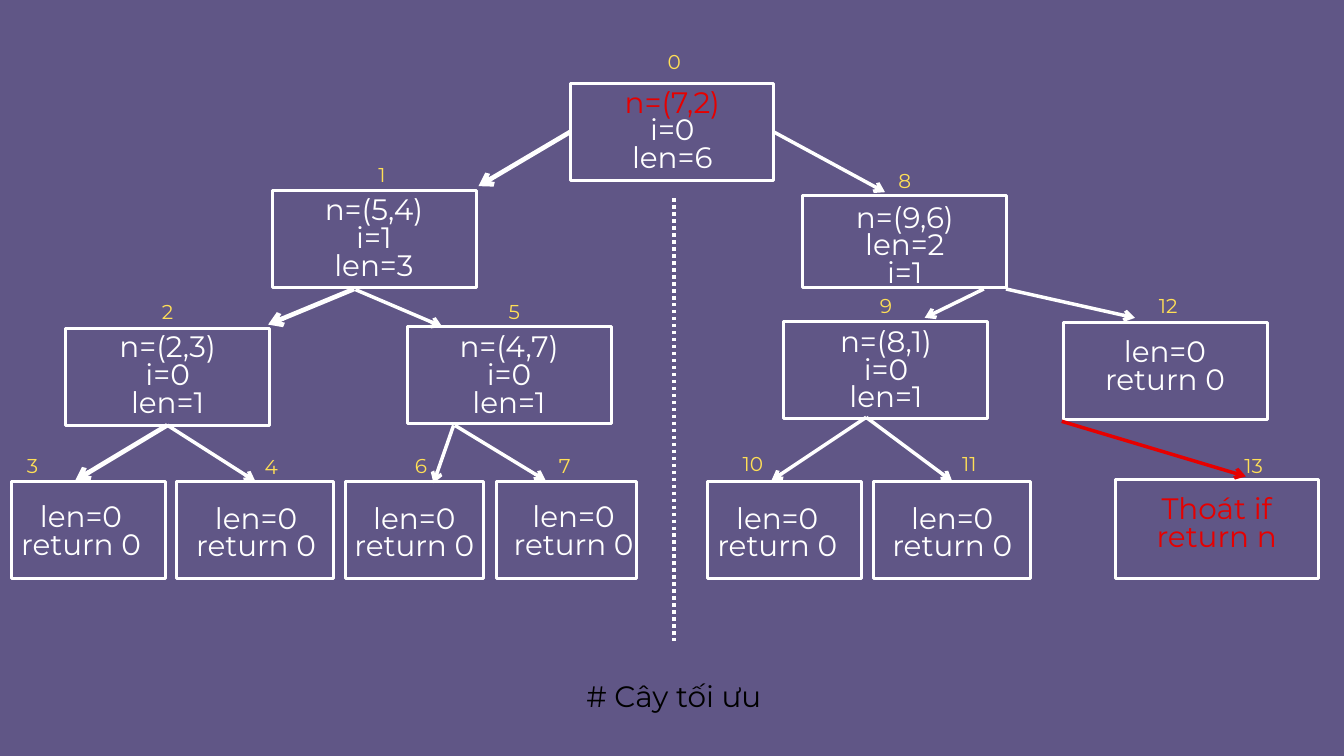
from dataclasses import dataclass
from typing import Optional

from pptx import Presentation
from pptx.dml.color import RGBColor
from pptx.enum.dml import MSO_LINE
from pptx.enum.shapes import MSO_CONNECTOR, MSO_SHAPE
from pptx.enum.text import MSO_ANCHOR, MSO_AUTO_SIZE, PP_ALIGN
from pptx.oxml.ns import qn
from pptx.oxml.xmlchemy import OxmlElement
from pptx.shapes.autoshape import Shape
from pptx.shapes.connector import Connector
from pptx.slide import Slide
from pptx.util import Inches, Pt

PURPLE = RGBColor(0x60, 0x56, 0x86)
WHITE = RGBColor(0xFF, 0xFF, 0xFF)
RED = RGBColor(0xE6, 0x00, 0x00)
YELLOW = RGBColor(0xFF, 0xDF, 0x56)
BLACK = RGBColor(0x00, 0x00, 0x00)
FONT = "Montserrat"
BORDER = 0.045
LINE_STEP = 0.41
BOTTOM, LEFT, RIGHT, TOP = 2, 1, 3, 0
LEAF = ("len=0", "return 0")


@dataclass(frozen=True)
class Node:
    left: float
    top: float
    lines: tuple[str, ...]
    text_left: float
    text_top: float
    label_left: float
    label_top: float
    width: float = 3.08
    height: float = 1.49
    text_width: float = 2.63
    red_lines: int = 0


@dataclass(frozen=True)
class Arrow:
    parent: int
    child: int
    start: tuple[float, float]
    end: tuple[float, float]
    color: RGBColor = WHITE
    weight: float = 3.75
    start_side: Optional[int] = None
    end_side: Optional[int] = None


NODES = [
    Node(8.46, 1.22, ("n=(7,2)", "i=0", "len=6"), 8.69, 1.36, 9.55, 0.81, red_lines=1),
    Node(4.03, 2.81, ("n=(5,4)", "i=1", "len=3"), 4.25, 2.96, 5.2, 2.5),
    Node(0.95, 4.86, ("n=(2,3)", "i=0", "len=1"), 1.18, 5, 2.01, 4.53),
    Node(0.15, 7.14, LEAF, 0.15, 7.53, 0, 6.82, width=2.34, text_width=2.11),
    Node(2.61, 7.14, LEAF, 2.76, 7.55, 3.55, 6.84, width=2.38, text_width=2.1),
    Node(6.04, 4.84, ("n=(4,7)", "i=0", "len=1"), 6.26, 5, 7.17, 4.54),
    Node(5.12, 7.14, LEAF, 4.85, 7.55, 5.78, 6.83, width=2.1),
    Node(7.37, 7.14, LEAF, 7.22, 7.53, 7.92, 6.83, width=2.13),
    Node(11.92, 2.89, ("n=(9,6)", "len=2", "i=1"), 12.15, 3.07, 12.98, 2.59, height=1.41),
    Node(11.64, 4.76, ("n=(8,1)", "i=0", "len=1"), 11.87, 4.92, 12.7, 4.45),
    Node(10.51, 7.14, LEAF, 10.51, 7.55, 10.72, 6.8, width=2.34, text_width=2.11),
    Node(12.98, 7.14, LEAF, 13.12, 7.55, 13.94, 6.8, width=2.38, text_width=2.1),
    Node(15.8, 4.78, LEAF, 16.02, 5.07, 16.9, 4.45),
    Node(16.57, 7.12, ("Thoát if", "return n"), 16.79, 7.41, 18.17, 6.83,
         height=1.51, red_lines=2),
]

ARROWS = [
    Arrow(0, 1, (8.48, 1.96), (7.12, 2.77), weight=5, start_side=LEFT),
    Arrow(1, 2, (5.27, 4.3), (3.99, 4.83), weight=5),
    Arrow(2, 3, (2.48, 6.35), (1.12, 7.15), weight=5, start_side=BOTTOM),
    Arrow(2, 4, (2.51, 6.35), (3.85, 7.17), start_side=BOTTOM, end_side=TOP),
    Arrow(1, 5, (5.29, 4.31), (6.58, 4.86)),
    Arrow(5, 6, (6.75, 6.33), (6.45, 7.19)),
    Arrow(5, 7, (6.77, 6.33), (8.12, 7.15)),
    Arrow(0, 8, (11.55, 1.92), (13.17, 2.86), start_side=RIGHT),
    Arrow(8, 9, (14.64, 4.3), (13.76, 4.73)),
    Arrow(9, 10, (12.89, 6.21), (11.48, 7.15)),
    Arrow(9, 11, (12.89, 6.21), (14.21, 7.17), end_side=TOP),
    Arrow(8, 12, (14.97, 4.3), (16.89, 4.73)),
    Arrow(12, 13, (15.8, 6.27), (18.54, 7.09), color=RED),
]


def write_text(box: Shape, lines: tuple[str, ...], *, colors: list[RGBColor],
               size: float = 31.6, spacing: float = 29.7) -> None:
    frame = box.text_frame
    frame.word_wrap = True
    frame.auto_size = MSO_AUTO_SIZE.NONE
    frame.vertical_anchor = MSO_ANCHOR.TOP
    frame.margin_left = frame.margin_right = frame.margin_top = frame.margin_bottom = 0
    for index, (line, color) in enumerate(zip(lines, colors)):
        para = frame.paragraphs[0] if index == 0 else frame.add_paragraph()
        para.alignment = PP_ALIGN.CENTER
        para.line_spacing = Pt(spacing)
        span = para.add_run()
        span.text = line
        span.font.name = FONT
        span.font.size = Pt(size)
        span.font.color.rgb = color


def add_frame(page: Slide, node: Node) -> Shape:
    box = page.shapes.add_shape(
        MSO_SHAPE.RECTANGLE,
        Inches(node.left + BORDER / 2), Inches(node.top + BORDER / 2),
        Inches(node.width - BORDER), Inches(node.height - BORDER))
    box.shadow.inherit = False
    box.fill.background()
    box.line.color.rgb = WHITE
    box.line.width = Inches(BORDER)
    return box


def add_node_text(page: Slide, number: int, node: Node) -> None:
    count = len(node.lines)
    body = page.shapes.add_textbox(
        Inches(node.text_left), Inches(node.text_top),
        Inches(node.text_width), Inches(count * LINE_STEP))
    colors = [RED] * node.red_lines + [WHITE] * (count - node.red_lines)
    write_text(body, node.lines, colors=colors)
    label = page.shapes.add_textbox(
        Inches(node.label_left), Inches(node.label_top), Inches(0.97), Inches(0.3))
    write_text(label, (str(number),), colors=[YELLOW], size=21.5, spacing=20.2)


def add_line(page: Slide, start: tuple[float, float], end: tuple[float, float], *,
             color: RGBColor = WHITE, weight: float = 3.75) -> Connector:
    line = page.shapes.add_connector(
        MSO_CONNECTOR.STRAIGHT, *(Inches(value) for value in (*start, *end)))
    line.line.color.rgb = color
    line.line.width = Pt(weight)
    line.element.spPr.append(OxmlElement("a:effectLst"))
    return line


def add_arrow(page: Slide, arrow: Arrow, frames: list[Shape]) -> None:
    line = add_line(page, arrow.start, arrow.end, color=arrow.color, weight=arrow.weight)
    head = OxmlElement("a:tailEnd")
    head.set("type", "arrow")
    line.element.spPr.find(qn("a:ln")).append(head)
    if arrow.start_side is not None:
        line.begin_connect(frames[arrow.parent], arrow.start_side)
    if arrow.end_side is not None:
        line.end_connect(frames[arrow.child], arrow.end_side)


def main() -> None:
    deck = Presentation()
    deck.slide_width, deck.slide_height = Inches(20), Inches(11.25)
    page = deck.slides.add_slide(deck.slide_layouts[5])
    page.background.fill.solid()
    page.background.fill.fore_color.rgb = PURPLE

    title = page.shapes.title
    title.left, title.top = Inches(4.13), Inches(10.21)
    title.width, title.height = Inches(11.79), Inches(0.44)
    write_text(title, ("# Cây tối ưu",), colors=[BLACK])

    frames = [add_frame(page, node) for node in NODES]
    for arrow in ARROWS:
        add_arrow(page, arrow, frames)
    divider = add_line(page, (10.03, 2.95), (10.03, 9.54))
    divider.line.dash_style = MSO_LINE.ROUND_DOT
    for number, node in enumerate(NODES):
        add_node_text(page, number, node)

    deck.save("out.pptx")


if __name__ == "__main__":
    main()
